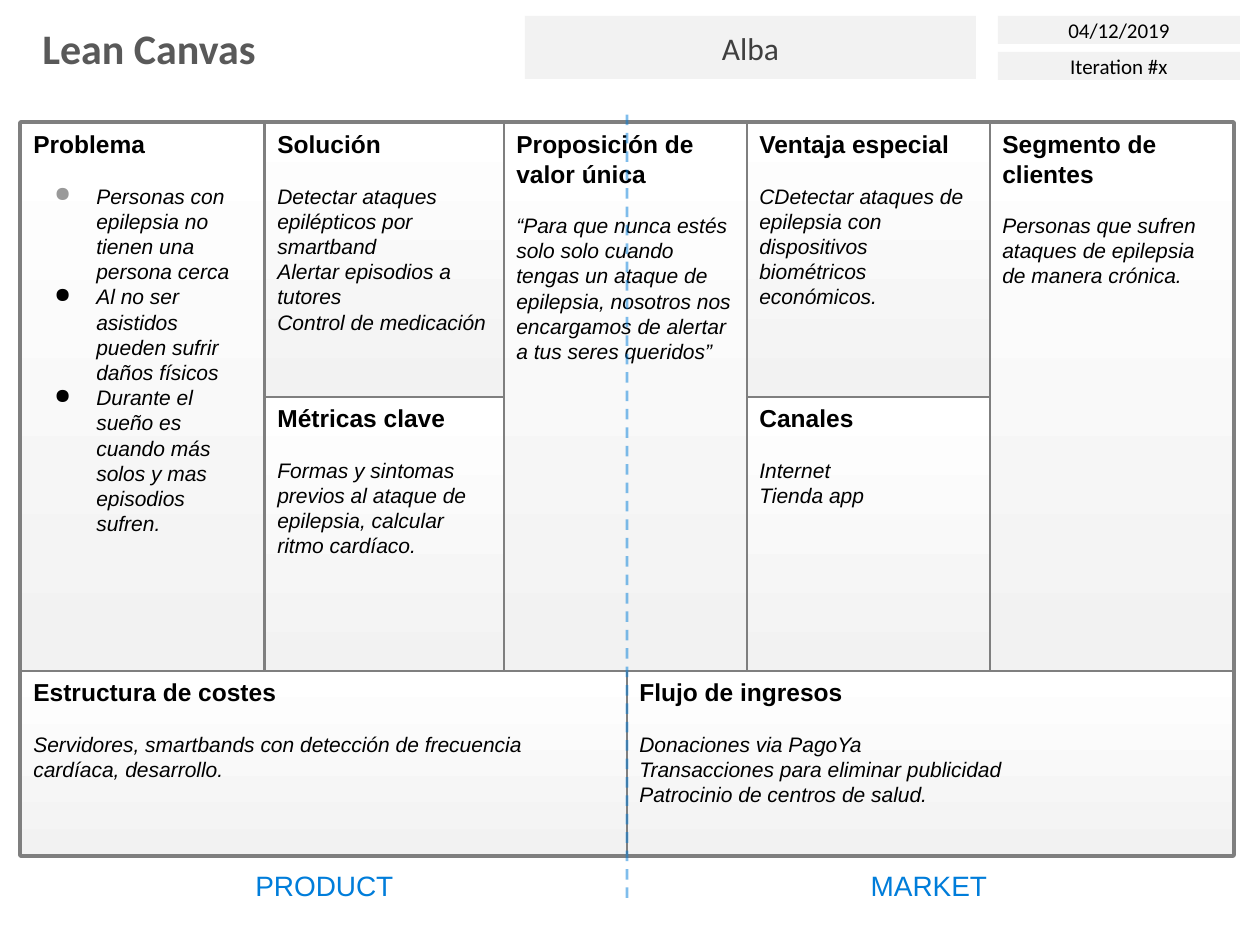
from lxml.etree import SubElement as Sub
from pptx import Presentation
from pptx.dml.color import RGBColor
from pptx.enum.dml import MSO_LINE as Dash
from pptx.enum.shapes import MSO_CONNECTOR as Conn, MSO_SHAPE as Kind
from pptx.enum.text import MSO_ANCHOR as Anchor, PP_ALIGN as Align
from pptx.oxml.ns import qn
from pptx.util import Emu, Pt

SCALE = 914400 // 126
GREY, PALE, BLUE = "7F7F7F", "F2F2F2", "007DDA"
HEAD = dict(name="Arial", size=Pt(14), bold=True, italic=False)
BODY = dict(name="Arial", size=Pt(12), bold=False, italic=True)

# Grid of the canvas
LEFT, TOP, WIDE, HIGH = 21, 123, 243, 548
MID, LOW = HIGH // 2, 184
HALF = 606
COLS = [LEFT, 265, 504, 747, 990]

# Column, half (None = full height), heading, body lines
BLOCKS = [
    (0, None, "Problema", [
        "Personas con epilepsia no tienen una persona cerca",
        "Al no ser asistidos pueden sufrir daños físicos",
        "Durante el sueño es cuando más solos y mas episodios sufren."]),
    (1, 0, "Solución", [
        "Detectar ataques epilépticos por smartband",
        "Alertar episodios a tutores",
        "Control de medicación"]),
    (1, 1, "Métricas clave", [
        "Formas y sintomas previos al ataque de epilepsia, "
        "calcular ritmo cardíaco."]),
    (2, None, "Proposición de valor única", [
        "“Para que nunca estés solo solo cuando tengas un ataque de epilepsia, "
        "nosotros nos encargamos de alertar a tus seres queridos”"]),
    (3, 0, "Ventaja especial", [
        "CDetectar ataques de epilepsia con dispositivos biométricos "
        "económicos."]),
    (3, 1, "Canales", ["Internet", "Tienda app"]),
    (4, None, "Segmento de clientes", [
        "Personas que sufren ataques de epilepsia de manera crónica."]),
]
BASE = [
    ("Estructura de costes", [
        "Servidores, smartbands con detección de frecuencia cardíaca, "
        "desarrollo."]),
    ("Flujo de ingresos", [
        "Donaciones via PagoYa",
        "Transacciones para eliminar publicidad",
        "Patrocinio de centros de salud."]),
]
DOTS = ["999999", "000000", "000000"]


def px(*nums):
    return [Emu(round(n * SCALE)) for n in nums]


def rgb(hex):
    return RGBColor.from_string(hex)


def write(para, text, form, color="000000"):
    run = para.add_run()
    run.text = text
    for key, val in form.items():
        setattr(run.font, key, val)
    run.font.color.rgb = rgb(color)


def bullet(para, color):
    props = para._p.get_or_add_pPr()
    inset, hang = px(63, -42)
    props.set("marL", str(inset))
    props.set("indent", str(hang))
    tint = Sub(props, qn("a:buClr"))
    Sub(tint, qn("a:srgbClr"), val=color)
    Sub(props, qn("a:buChar"), char="●")


def box(slide, kind, area, line=None, width=1.5):
    shape = slide.shapes.add_shape(kind, *px(*area))
    shape.shadow.inherit = False
    if kind == Kind.ROUNDED_RECTANGLE:
        shape.adjustments[0] = 0
    if line:
        shape.line.color.rgb = rgb(line)
        shape.line.width = Pt(width)
    else:
        shape.line.fill.background()
    return shape


def label(slide, area, text, form, color, align=Align.CENTER):
    frame = slide.shapes.add_textbox(*px(*area)).text_frame
    frame.word_wrap = True
    frame.paragraphs[0].alignment = align
    write(frame.paragraphs[0], text, form, color)


def tag(slide, area, text, size, color):
    shape = box(slide, Kind.RECTANGLE, area)
    shape.fill.solid()
    shape.fill.fore_color.rgb = rgb(PALE)
    frame = shape.text_frame
    frame.vertical_anchor = Anchor.MIDDLE
    frame.paragraphs[0].alignment = Align.CENTER
    write(frame.paragraphs[0], text, dict(name="Calibri", size=Pt(size)), color)


def block(slide, area, title, lines, dots=()):
    shape = box(slide, Kind.ROUNDED_RECTANGLE, area, GREY)
    shape.fill.gradient()
    shape.fill.gradient_angle = 90
    for stop, color in zip(shape.fill.gradient_stops, (PALE, "FFFFFF")):
        stop.color.rgb = rgb(color)
    frame = shape.text_frame
    frame.word_wrap = True
    frame.vertical_anchor = Anchor.TOP
    head = frame.paragraphs[0]
    head.alignment = Align.LEFT
    head.space_after = Pt(14)
    write(head, title, HEAD)
    for i, text in enumerate(lines):
        para = frame.add_paragraph()
        para.alignment = Align.LEFT
        if dots:
            bullet(para, dots[i])
        write(para, text, BODY)


def divide(slide, x, start, end):
    line = slide.shapes.add_connector(Conn.STRAIGHT, *px(x, start, x, end))
    for key, val in dict(width=Pt(1.5), dash_style=Dash.DASH).items():
        setattr(line.line, key, val)
    line.line.color.rgb = rgb(BLUE)
    props = line._element.spPr
    Sub(next(props.iter(qn("a:srgbClr"))), qn("a:alpha"), val="50000")
    Sub(props, qn("a:effectLst"))


def main():
    deck = Presentation()
    deck.slide_width, deck.slide_height = px(1260, 945)
    slide = deck.slides.add_slide(deck.slide_layouts[6])

    # Header
    label(slide, (30, 16, 242, 63), "Lean Canvas",
          dict(name="Calibri", size=Pt(24), bold=True), "595959", Align.LEFT)
    frame = box(slide, Kind.ROUNDED_RECTANGLE,
                (LEFT, TOP, 2 * HALF, HIGH + LOW), GREY, 3)
    frame.fill.background()
    tag(slide, (525, 16, 451, 63), "Alba", 18, "3F3F3F")
    for y, text in ((16, "04/12/2019"), (52, "Iteration #x")):
        tag(slide, (998, y, 242, 28), text, 12, "000000")

    # Canvas blocks
    for i, (title, lines) in enumerate(BASE):
        block(slide, (LEFT + i * HALF, TOP + HIGH, HALF, LOW), title, lines)
    for col, half, title, lines in BLOCKS:
        y = TOP + MID * (half or 0)
        tall = HIGH if half is None else MID
        block(slide, (COLS[col], y, WIDE, tall), title, lines,
              DOTS if col == 0 else ())

    # Footer and divider
    for x, wide, text in ((242, 165, "PRODUCT"), (858, 142, "MARKET")):
        label(slide, (x, 862, wide, 47), text,
              dict(name="Arial", size=Pt(16)), BLUE)
    divide(slide, LEFT + HALF, 898, 108)

    deck.save("out.pptx")


main()
